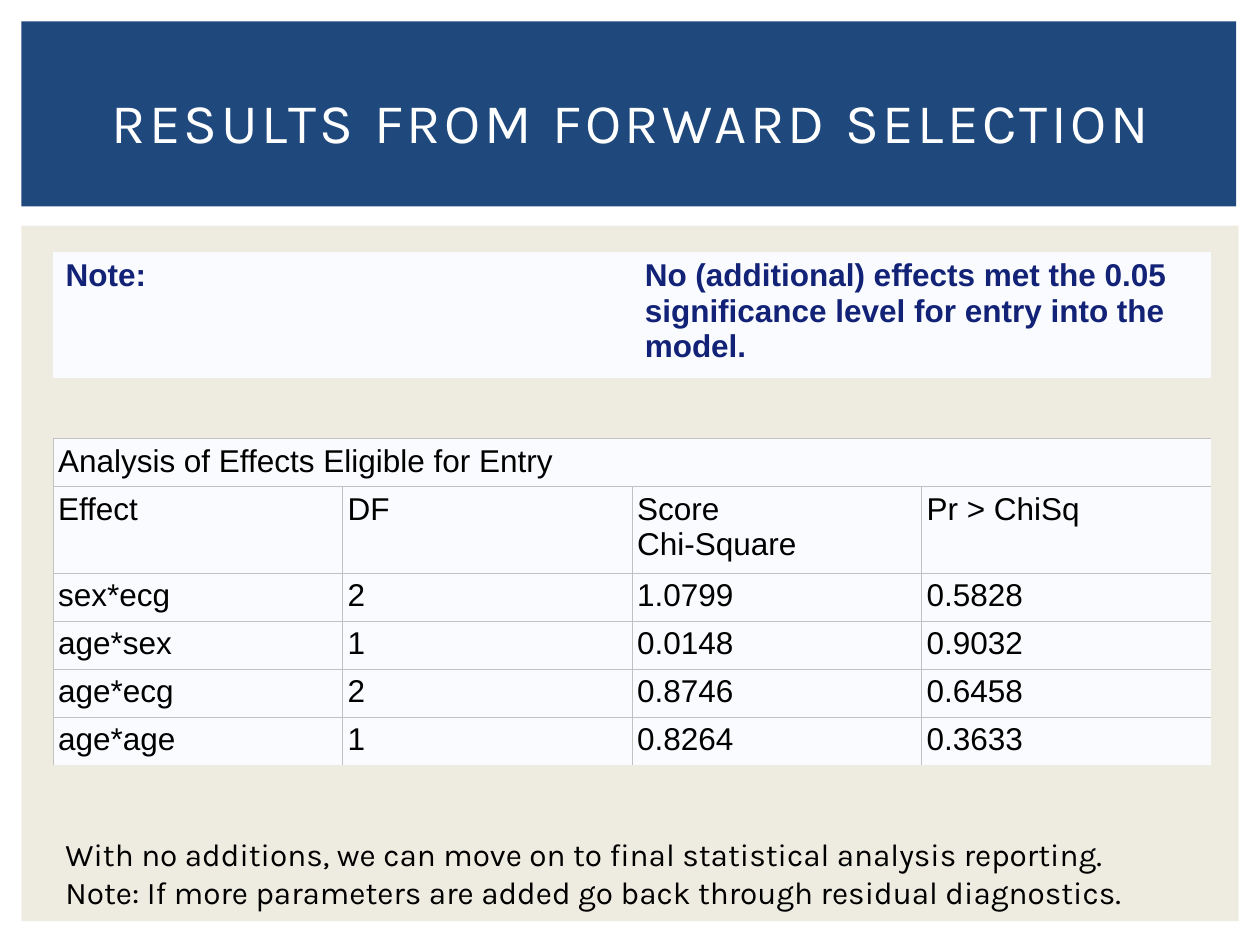
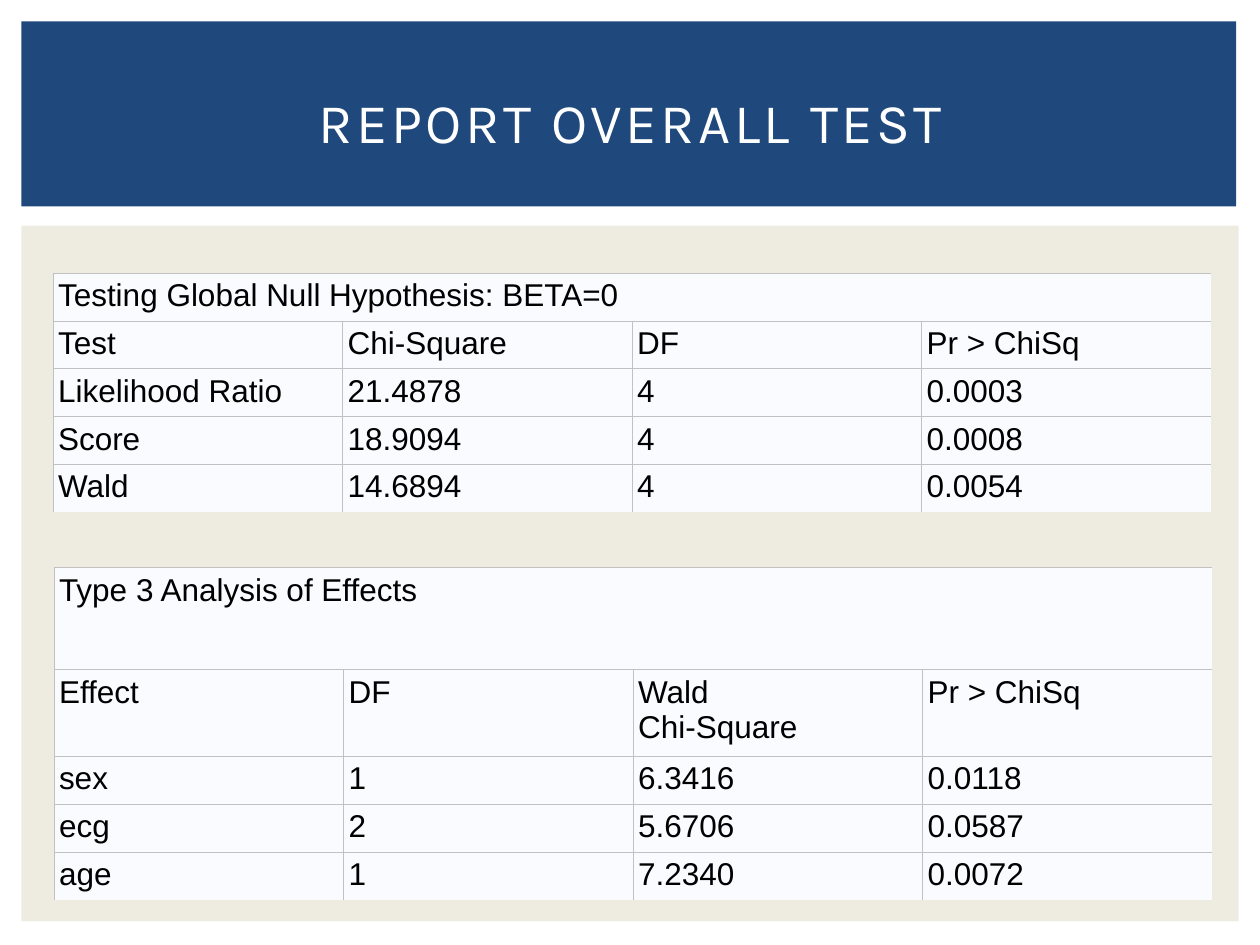
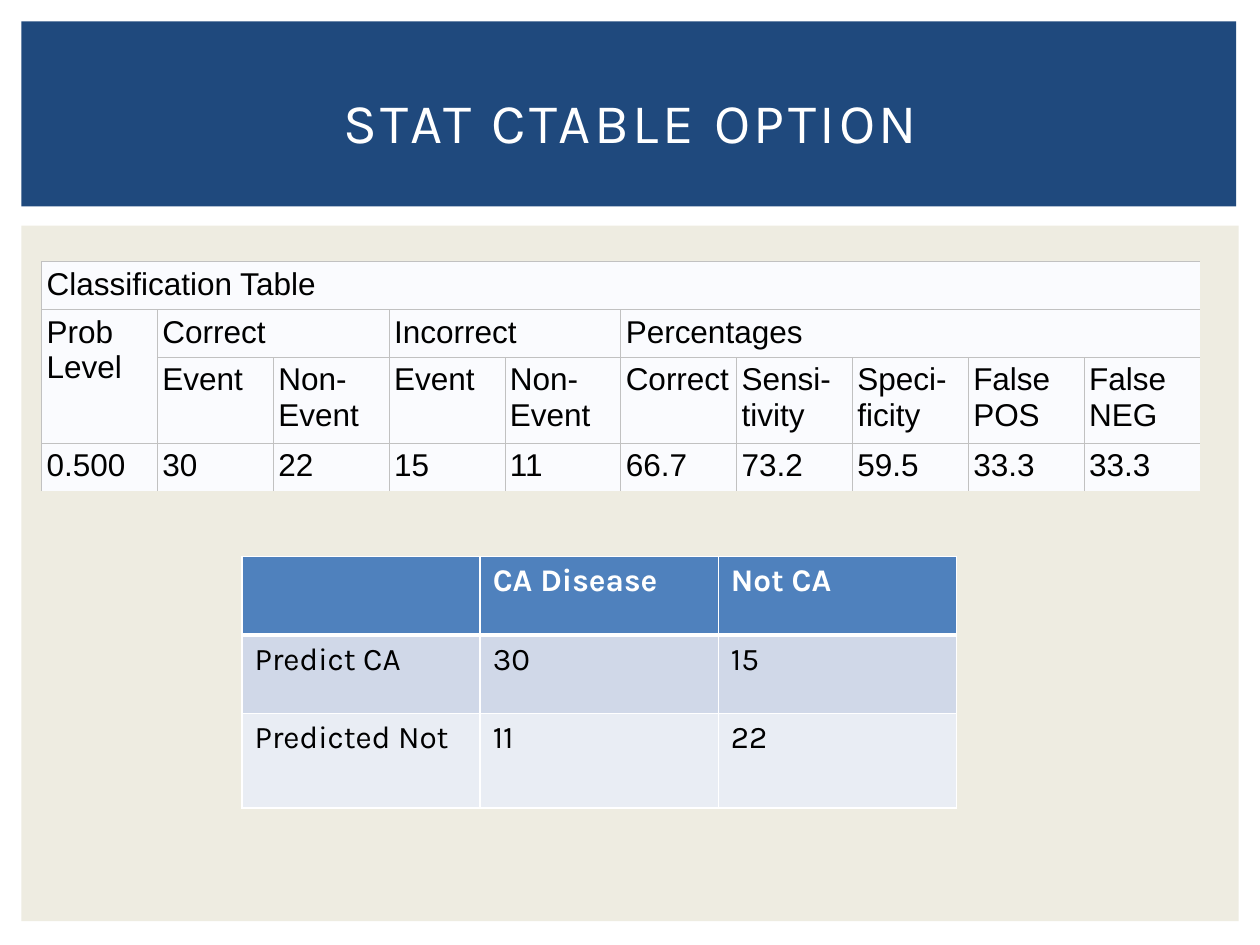
from lxml import etree
from pptx import Presentation
from pptx.dml import color
from pptx.enum import shapes, text
from pptx.oxml import ns
from pptx.util import Cm, Pt

NAVY, SAND, WHITE, BLACK = "1F497D", "EEECE1", "FFFFFF", "000000"
PAPER, RULE, NOTE_INK = "FAFBFE", "C1C1C1", "112277"
HEADER, BAND_DARK, BAND_LIGHT = "4F81BD", "D0D8E8", "E9EDF4"
MARGIN, ROW, TALL_ROW, FIT_ROW = 1.07, 0.97, 1.74, 0
TABLE_WIDTH = 23.35
HALVES, QUARTERS, TENTHS = ([TABLE_WIDTH / n] * n for n in (2, 4, 10))


def rgb(value):
    return color.RGBColor.from_string(value)


def write(tf, content, font="Karla", size=18, ink=BLACK, bold=False, align=None, spacing=None):
    tf.word_wrap = True
    for i, line in enumerate(content.split("\n")):
        p = tf.paragraphs[0] if i == 0 else tf.add_paragraph()
        p.text = line
        p.alignment = align
        for r in p.runs:
            r.font.name = font
            r.font.size = Pt(size)
            r.font.bold = bold
            r.font.color.rgb = rgb(ink)
            if spacing:
                r.font._element.set("spc", str(spacing * 100))


def draw_border(cell, side, ink, width):
    tc_pr = cell._tc.get_or_add_tcPr()
    ln = etree.SubElement(tc_pr, ns.qn(f"a:ln{side}"), w=str(Pt(width)))
    if width:
        fill = etree.SubElement(ln, ns.qn("a:solidFill"))
        etree.SubElement(fill, ns.qn("a:srgbClr"), val=ink)
    else:
        etree.SubElement(ln, ns.qn("a:noFill"))


def no_borders(first_row, second_row, last_col, last_row):
    return dict.fromkeys("LRTB", 0)


def open_borders(first_row, second_row, last_col, last_row):
    return {"L": 0.6, "R": 0 if last_col else 0.6, "T": 0.6, "B": 0 if last_row else 0.6}


def header_borders(first_row, second_row, last_col, last_row):
    return {"L": 1, "R": 1, "T": 3 if second_row else 1, "B": 3 if first_row else 1}


class Deck:
    def __init__(self):
        self.prs = Presentation()
        self.prs.slide_width, self.prs.slide_height = Cm(25.4), Cm(19.05)
        self.s = None

    def slide(self, title):
        self.s = self.prs.slides.add_slide(self.prs.slide_layouts[6])
        self.band(0.43, 4.55, 24.54, 14.02, SAND)
        self.band(0.43, 0.43, 24.49, 3.73, NAVY)
        self.text(title, 0.99, 2.92, anchor=text.MSO_ANCHOR.MIDDLE, size=32, ink=WHITE,
                  align=text.PP_ALIGN.CENTER, spacing=2)

    def band(self, left, top, width, height, fill):
        sp = self.s.shapes.add_shape(shapes.MSO_SHAPE.RECTANGLE,
                                     Cm(left), Cm(top), Cm(width), Cm(height))
        sp.shadow.inherit = False
        sp.fill.solid()
        sp.fill.fore_color.rgb = rgb(fill)
        sp.line.fill.background()

    def text(self, content, top, height, anchor=text.MSO_ANCHOR.TOP, **fmt):
        sp = self.s.shapes.add_textbox(Cm(MARGIN), Cm(top), Cm(23.29), Cm(height))
        sp.text_frame.vertical_anchor = anchor
        write(sp.text_frame, content, **fmt)

    def table(self, rows, left, top, widths, heights, fills, borders, ink, formats,
              inset=None, merges=(), height=None):
        total = Cm(height or sum(heights))
        frame = self.s.shapes.add_table(len(rows), len(widths), Cm(left), Cm(top),
                                        Cm(sum(widths)), total)
        tbl = frame.table
        tbl.first_row = tbl.horz_banding = False
        for col, width in zip(tbl.columns, widths):
            col.width = Cm(width)
        for row, row_height in zip(tbl.rows, heights):
            row.height = Cm(row_height)
        frame.height = total
        for r1, c1, r2, c2 in merges:
            tbl.cell(r1, c1).merge(tbl.cell(r2, c2))
        for i, row in enumerate(rows):
            for j, content in enumerate(row):
                cell = tbl.cell(i, j)
                if inset is not None:
                    cell.margin_left = cell.margin_right = Cm(inset)
                    cell.margin_top = cell.margin_bottom = Cm(inset)
                if cell.is_spanned:
                    continue
                right = j + (cell.span_width if cell.is_merge_origin else 1)
                bottom = i + (cell.span_height if cell.is_merge_origin else 1)
                edges = borders(i == 0, i == 1, right == len(widths), bottom == len(rows))
                for side, width in edges.items():
                    draw_border(cell, side, ink, width)
                cell.fill.solid()
                cell.fill.fore_color.rgb = rgb(fills[i])
                write(cell.text_frame, content, **formats[i])

    def output_table(self, caption, body, top, widths, heights, left=MARGIN, merges=(),
                     height=None):
        columns, n = len(widths), len(heights)
        rows = [[caption] + [""] * (columns - 1)] + body
        self.table(rows, left, top, widths, heights, [PAPER] * n, open_borders, RULE,
                   [dict(font="Arial")] * n, inset=0.1, height=height,
                   merges=[(0, 0, 0, columns - 1), *merges])


def forward_selection(deck):
    deck.slide("RESULTS FROM FORWARD SELECTION")
    deck.output_table("Analysis of Effects Eligible for Entry", [
        ["Effect", "DF", "Score\vChi-Square", "Pr > ChiSq"],
        ["sex*ecg", "2", "1.0799", "0.5828"],
        ["age*sex", "1", "0.0148", "0.9032"],
        ["age*ecg", "2", "0.8746", "0.6458"],
        ["age*age", "1", "0.8264", "0.3633"],
    ], 8.84, QUARTERS, [ROW, TALL_ROW] + [ROW] * 4)
    note = "No (additional) effects met the 0.05 significance level for entry into the model."
    deck.table([["Note:", note]], MARGIN, 5.08, HALVES, [FIT_ROW], [PAPER], no_borders,
               RULE, [dict(font="Arial", ink=NOTE_INK, bold=True)], height=2.54)
    deck.text("With no additions, we can move on to final statistical analysis reporting.\n"
              "Note: If more parameters are added go back through residual diagnostics.",
              16.71, 1.8)


def overall_test(deck):
    deck.slide("REPORT OVERALL TEST")
    deck.output_table("Testing Global Null Hypothesis: BETA=0", [
        ["Test", "Chi-Square", "DF", "Pr > ChiSq"],
        ["Likelihood Ratio", "21.4878", "4", "0.0003"],
        ["Score", "18.9094", "4", "0.0008"],
        ["Wald", "14.6894", "4", "0.0054"],
    ], 5.51, QUARTERS, [FIT_ROW] * 5, height=4.88)
    deck.output_table("Type 3 Analysis of Effects", [
        ["Effect", "DF", "Wald\vChi-Square", "Pr > ChiSq"],
        ["sex", "1", "6.3416", "0.0118"],
        ["ecg", "2", "5.6706", "0.0587"],
        ["age", "1", "7.2340", "0.0072"],
    ], 11.44, QUARTERS, [2.06, TALL_ROW] + [ROW] * 3, left=1.09)


def classification(deck):
    deck.slide("STAT CTABLE OPTION")
    deck.output_table("Classification Table", [
        ["Prob\vLevel", "Correct", "", "Incorrect", "", "Percentages", "", "", "", ""],
        ["", "Event", "Non-\vEvent", "Event", "Non-\vEvent", "Correct",
         "Sensi-\vtivity", "Speci-\vficity", "False\vPOS", "False\vNEG"],
        ["0.500", "30", "22", "15", "11", "66.7", "73.2", "59.5", "33.3", "33.3"],
    ], 5.28, TENTHS, [FIT_ROW] * 4, left=0.84, height=4.65,
        merges=[(1, 0, 2, 0), (1, 1, 1, 2), (1, 3, 1, 4), (1, 5, 1, 9)])
    deck.table([
        ["", "CA Disease", "Not CA"],
        ["Predict CA", "30", "15"],
        ["Predicted Not", "11", "22"],
    ], 4.88, 11.22, [4.8] * 3, [1.58, 1.58, 1.91], [HEADER, BAND_DARK, BAND_LIGHT],
        header_borders, WHITE, [dict(ink=WHITE, bold=True), {}, {}])


def main():
    deck = Deck()
    forward_selection(deck)
    overall_test(deck)
    classification(deck)
    deck.prs.save("out.pptx")


if __name__ == "__main__":
    main()
